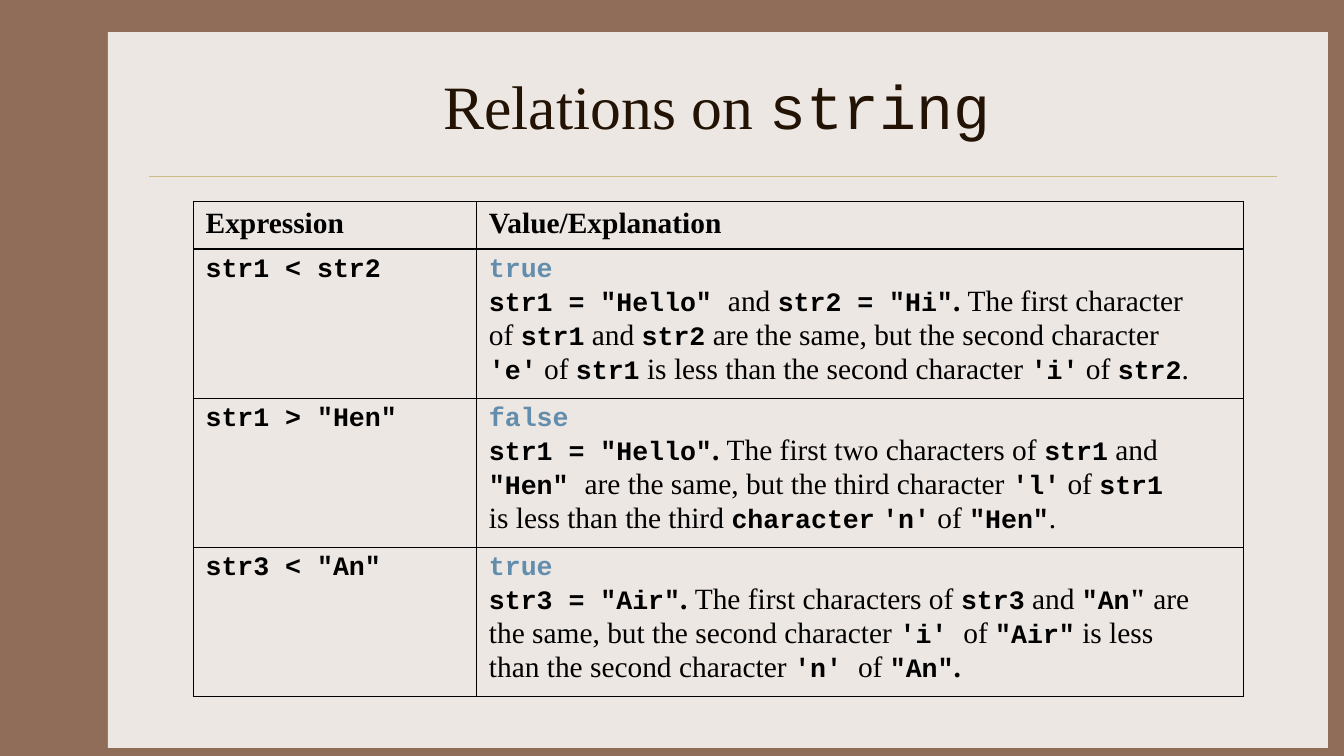
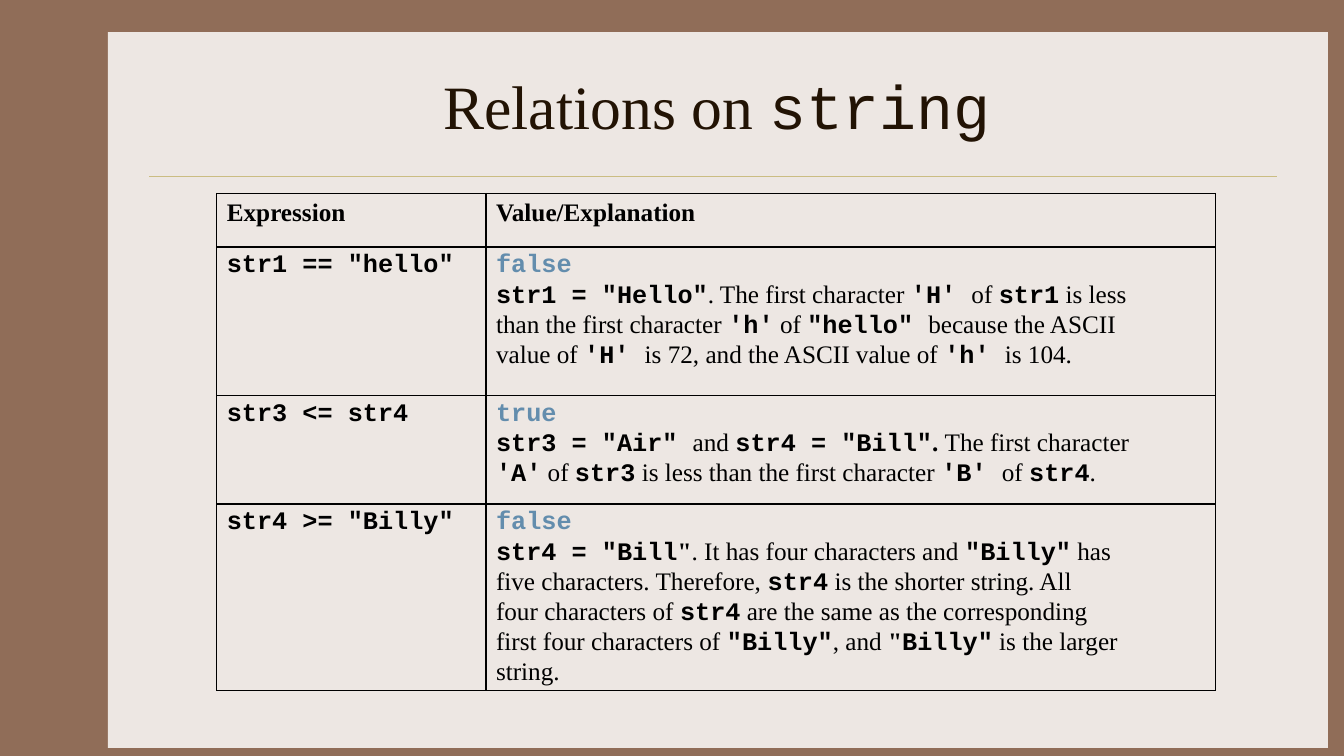
from lxml import etree
from pptx import Presentation
from pptx.dml.color import RGBColor
from pptx.enum.shapes import MSO_CONNECTOR, MSO_SHAPE
from pptx.enum.text import MSO_ANCHOR, MSO_AUTO_SIZE, PP_ALIGN
from pptx.oxml.ns import qn
from pptx.util import Inches, Pt

RECTANGLE = MSO_SHAPE.RECTANGLE
STRAIGHT = MSO_CONNECTOR.STRAIGHT
MIDDLE = MSO_ANCHOR.MIDDLE
CENTER = PP_ALIGN.CENTER
FIXED_SIZE = MSO_AUTO_SIZE.NONE

COLORS = {
    "frame": "906D58",
    "panel": "EDE7E3",
    "rule": "CBBD83",
    "title": "221304",
    "text": "000000",
    "value": "638DAD",
}
SERIF = "Times New Roman"
MONO = "Courier New"
TITLE_ONLY = 5
TITLE_BOX = (1.56, 0.42, 11.11, 1.25)
PANEL_BOX = (1.07, 0.32, 12.1, 7.1)
RULE_ENDS = (1.48, 1.75, 12.67, 1.75)
TITLE = "Relations on `string`"
HEADINGS = ("*Expression*", "*Value/Explanation*")

PAGES = [
    {
        "box": (1.92, 2.0),
        "columns": (2.81, 7.6),
        "heights": (0.47, 1.48, 1.48, 1.48),
        "sizes": {"serif": 21, "mono": 19},
        "insets": (0.12, 0.06),
        "rows": [
            ("str1 < str2", "true", [
                '`str1 = "Hello" `and `str2 = "Hi"`*. *The first character',
                "of `str1` and `str2` are the same, but the second character",
                "`'e'` of `str1` is less than the second character `'i'` of `str2`.",
            ]),
            ('str1 > "Hen"', "false", [
                '`str1 = "Hello"`*. *The first two characters of `str1` and',
                "`\"Hen\" `are the same, but the third character `'l'` of `str1`",
                "is less than the third `character` `'n'` of `\"Hen\"`.",
            ]),
            ('str3 < "An"', "true", [
                '`str3 = "Air"`*. *The first characters of `str3` and `"An`*" *are',
                "the same, but the second character `'i' `of `\"Air\"` is less",
                "than the second character `'n' `of `\"An\"`*.*",
            ]),
        ],
    },
    {
        "box": (2.15, 1.92),
        "columns": (2.67, 7.24),
        "heights": (0.53, 1.47, 1.08, 1.85),
        "sizes": {"serif": 18, "mono": 18},
        "insets": (0.1, 0.05),
        "rows": [
            ('str1 == "hello"', "false", [
                "`str1 = \"Hello\"`. The first character `'H' `of `str1` is less",
                "than the first character `'h'` of `\"hello\" `because the ASCII",
                "value of `'H' `is 72, and the ASCII value of `'h' `is 104.",
            ]),
            ("str3 <= str4", "true", [
                '`str3 = "Air" `and `str4 = "Bill"`*. *The first character',
                "`'A'` of `str3` is less than the first character `'B' `of `str4`.",
            ]),
            ('str4 >= "Billy"', "false", [
                '`str4 = "Bill`*"*. It has four characters and `"Billy"` has',
                "five characters. Therefore, `str4` is the shorter string. All",
                "four characters of `str4` are the same as the corresponding",
                'first four characters of `"Billy"`, and *"*`Billy"` is the larger',
                "string.",
            ]),
        ],
    },
]


def rgb(name):
    return RGBColor.from_string(COLORS[name])


def inches(values):
    return [Inches(value) for value in values]


def set_all(target, values):
    for name, value in values.items():
        setattr(target, name, value)


def split_marks(text):
    for index, part in enumerate(text.split("`")):
        if index % 2:
            yield part, "mono", True
        else:
            for place, piece in enumerate(part.split("*")):
                yield piece, "serif", place % 2 == 1


def write_line(para, text, sizes, color="text", strong_code=True):
    fonts = {"serif": SERIF, "mono": MONO}
    for piece, family, bold in split_marks(text):
        if piece:
            span = para.add_run()
            span.text = piece
            set_all(span.font, {
                "name": fonts[family],
                "size": Pt(sizes[family]),
                "bold": bold and strong_code,
            })
            span.font.color.rgb = rgb(color)


def dress_master(deck, page):
    master = deck.slide_master
    master.background.fill.solid()
    master.background.fill.fore_color.rgb = rgb("frame")

    panel = page.shapes.add_shape(RECTANGLE, *inches(PANEL_BOX))
    panel.shadow.inherit = False
    panel.fill.solid()
    panel.fill.fore_color.rgb = rgb("panel")
    panel.line.fill.background()

    rule = page.shapes.add_connector(STRAIGHT, *inches(RULE_ENDS))
    rule.line.color.rgb = rgb("rule")
    rule.line.width = Pt(0.25)
    etree.SubElement(rule.element.spPr, qn("a:effectLst"))

    for index, part in enumerate((panel, rule)):
        part.element.xpath(".//p:cNvPr")[0].set("id", str(100 + index))
        master.shapes.element.insert(2 + index, part.element)


def add_title(page, box):
    title = page.shapes.title
    set_all(title, dict(zip(("left", "top", "width", "height"), inches(box))))
    frame = title.text_frame
    set_all(frame, {
        "vertical_anchor": MIDDLE,
        "word_wrap": True,
        "auto_size": FIXED_SIZE,
    })
    para = frame.paragraphs[0]
    para.alignment = CENTER
    write_line(para, TITLE, {"serif": 44, "mono": 44}, "title", False)


def draw_borders(cell):
    properties = cell._tc.get_or_add_tcPr()
    for side in ("lnL", "lnR", "lnT", "lnB"):
        border = etree.SubElement(properties, qn("a:" + side), w=str(Pt(1)))
        fill = etree.SubElement(border, qn("a:solidFill"))
        etree.SubElement(fill, qn("a:srgbClr"), val=COLORS["text"])


def fill_cell(cell, lines, sizes, insets):
    side, edge = inches(insets)
    set_all(cell, {
        "margin_left": side,
        "margin_right": side,
        "margin_top": edge,
        "margin_bottom": edge,
    })
    draw_borders(cell)
    cell.fill.background()
    frame = cell.text_frame
    for index, (text, color) in enumerate(lines):
        para = frame.add_paragraph() if index else frame.paragraphs[0]
        write_line(para, text, sizes, color)


def add_relations(page, content):
    columns, heights = content["columns"], content["heights"]
    extent = (sum(columns), sum(heights))
    table = page.shapes.add_table(
        len(heights), len(columns), *inches(content["box"] + extent)).table
    set_all(table, {"first_row": False, "horz_banding": False})
    for column, width in zip(table.columns, columns):
        column.width = Inches(width)
    for row, height in zip(table.rows, heights):
        row.height = Inches(height)

    grid = [[[(heading, "text")] for heading in HEADINGS]]
    for expression, value, explanation in content["rows"]:
        answer = [(f"`{value}`", "value")]
        answer += [(line, "text") for line in explanation]
        grid.append([[(f"`{expression}`", "text")], answer])
    for row, entries in zip(table.rows, grid):
        for cell, lines in zip(row.cells, entries):
            fill_cell(cell, lines, content["sizes"], content["insets"])


def main():
    deck = Presentation()
    deck.slide_width, deck.slide_height = inches((13.33, 7.5))
    for index, content in enumerate(PAGES):
        page = deck.slides.add_slide(deck.slide_layouts[TITLE_ONLY])
        if index == 0:
            dress_master(deck, page)
        add_title(page, TITLE_BOX)
        add_relations(page, content)
    deck.save("out.pptx")


main()
